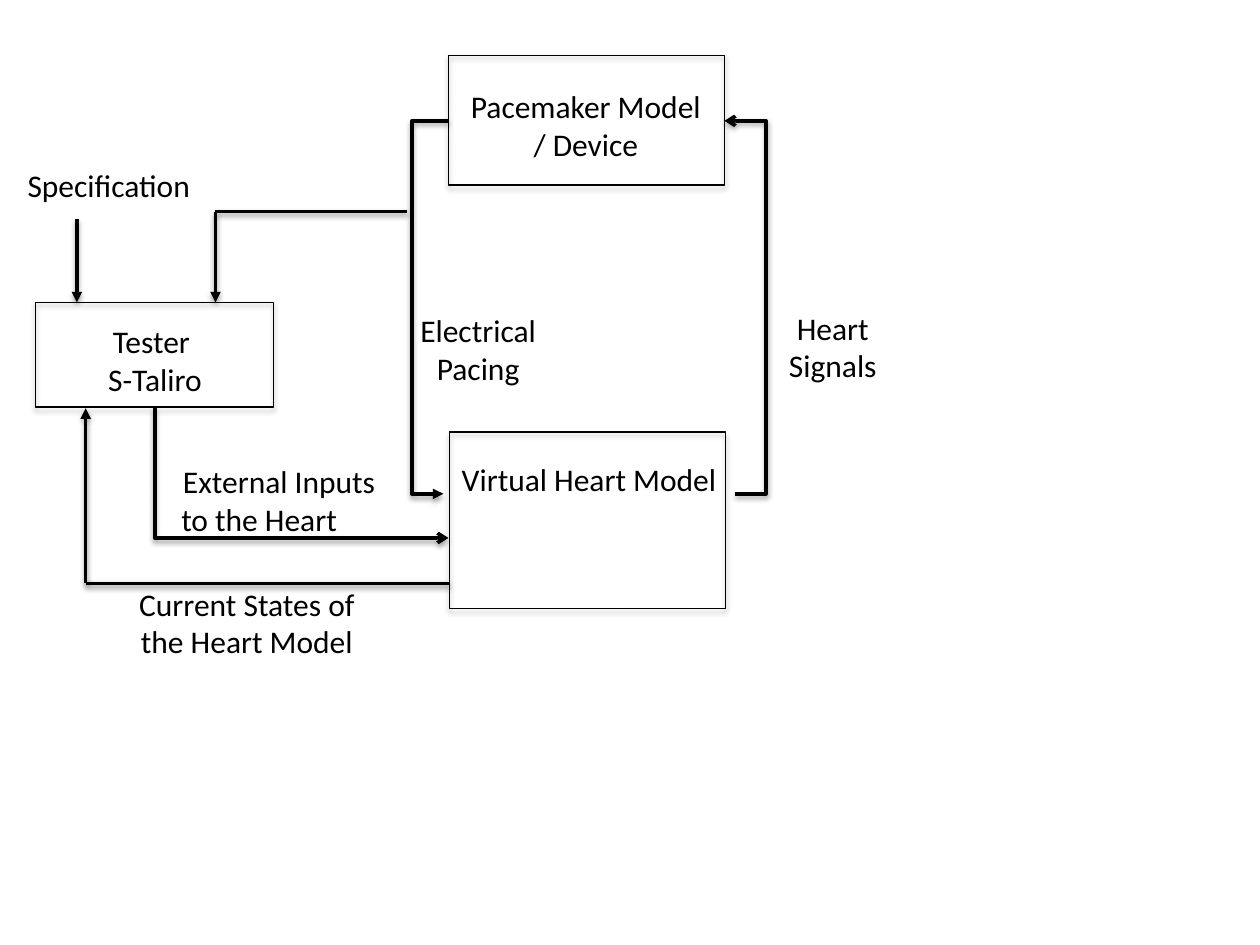
from lxml.etree import SubElement
from pptx import Presentation
from pptx.dml.color import RGBColor
from pptx.enum.shapes import MSO_CONNECTOR, MSO_SHAPE
from pptx.enum.text import PP_ALIGN
from pptx.oxml import parse_xml
from pptx.oxml.ns import nsdecls, qn
from pptx.util import Inches, Pt

BLACK = RGBColor.from_string("000000")
deck = Presentation()
deck.slide_width, deck.slide_height = Inches(10), Inches(7.5)
slide = deck.slides.add_slide(deck.slide_layouts[6])


def style(item, width, dist, alpha):
    """Black outline and a soft shadow straight below."""
    item.line.color.rgb = BLACK
    item.line.width = Pt(width)
    item._element.spPr.append(parse_xml(
        f'<a:effectLst {nsdecls("a")}><a:outerShdw blurRad="{Pt(3.1)}" '
        f'dist="{Pt(dist)}" dir="5400000" rotWithShape="0"><a:srgbClr val="000000">'
        f'<a:alpha val="{alpha}000"/></a:srgbClr></a:outerShdw></a:effectLst>'))


def write(shapes, place, lines, aligns="cc"):
    box = shapes.add_textbox(*map(Inches, place))
    frame = box.text_frame
    frame.word_wrap = False
    frame.text = "\n".join(lines)
    for para, side in zip(frame.paragraphs, aligns):
        para.alignment = PP_ALIGN.CENTER if side == "c" else PP_ALIGN.LEFT
        para.font.name, para.font.size = "Calibri", Pt(18)
        para.font.color.rgb = BLACK


# Boxes, each grouped with its label
boxes = [
    ((3.56, 0.44, 2.19, 1.03), (3.62, 0.64, 2.06, 0.81), ["Pacemaker Model ", "/ Device"]),
    ((3.57, 3.43, 2.19, 1.4), (3.52, 3.6, 2.31, 0.63), ["Virtual Heart Model"]),
    ((0.28, 2.4, 1.89, 0.83), (0.74, 2.51, 0.98, 0.71), ["Tester ", "S-Taliro"]),
]
for place, inner, lines in boxes:
    group = slide.shapes.add_group_shape()
    rect = group.shapes.add_shape(MSO_SHAPE.RECTANGLE, *map(Inches, place))
    rect.fill.background()
    style(rect, 0.75, 1.8, 35)
    write(group.shapes, inner, lines)

# Links: start, end, arrow end, arrow type, x of the bend
links = [
    ((5.83, 3.92), (5.75, 0.96), "tail", "arrow", 6.08),      # heart signals
    ((3.56, 0.96), (3.52, 3.92), "tail", "triangle", 3.27),   # pacing
    ((3.56, 4.27), (1.23, 3.24), "head", "arrow", 1.23),      # external inputs
    ((1.71, 1.68), (3.23, 1.68), None, None, None),           # pacing to tester
    ((1.71, 1.68), (1.71, 2.4), "tail", "triangle", None),
    ((0.68, 4.63), (3.57, 4.63), None, None, None),           # current states
    ((0.68, 4.63), (0.68, 3.24), "tail", "triangle", None),
    ((0.61, 1.74), (0.61, 2.4), "tail", "triangle", None),    # specification
]
for start, end, tip, kind, bend in links:
    form = MSO_CONNECTOR.STRAIGHT if bend is None else MSO_CONNECTOR.ELBOW
    link = slide.shapes.add_connector(form, *map(Inches, start + end))
    style(link, 2, 1.6, 38)
    if tip:
        SubElement(link.line._get_or_add_ln(), qn(f"a:{tip}End"), type=kind)
    if bend is not None:
        geom = link._element.spPr.find(qn("a:prstGeom"))
        if bend == end[0]:
            geom.set("prst", "bentConnector2")
        else:
            share = round((bend - start[0]) / (end[0] - start[0]) * 100000)
            SubElement(geom.find(qn("a:avLst")), qn("a:gd"),
                       name="adj1", fmla=f"val {share}")

# Labels beside the links
labels = [
    ((3.23, 2.42, 1.13, 0.71), ["Electrical", "Pacing"], "cc"),
    ((6.16, 2.4, 0.9, 0.71), ["Heart", "Signals"], "cc"),
    ((0.98, 4.59, 1.96, 0.71), ["Current States of ", "the Heart Model"], "cc"),
    ((1.34, 3.62, 1.75, 0.71), ["External Inputs ", "to the Heart"], "cl"),
    ((0.12, 1.27, 1.51, 0.4), ["Specification"], "l"),
]
for place, lines, aligns in labels:
    write(slide.shapes, place, lines, aligns)

deck.save("out.pptx")
